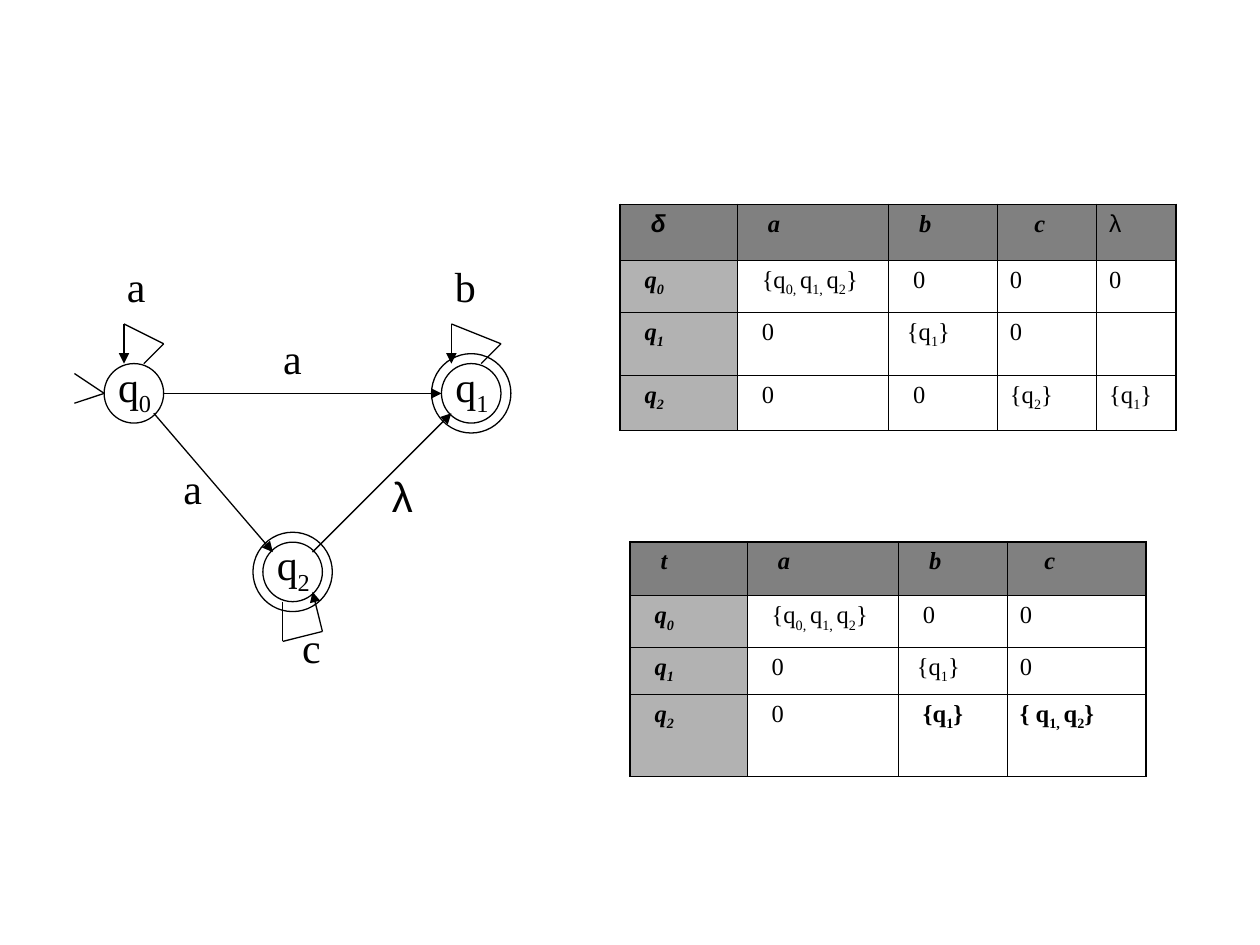
"""Build a slide with a lambda automaton and its two transition tables."""
from lxml import etree
from pptx import Presentation
from pptx.dml.color import RGBColor
from pptx.enum.shapes import MSO_CONNECTOR, MSO_SHAPE
from pptx.enum.text import MSO_AUTO_SIZE
from pptx.oxml.ns import qn
from pptx.util import Cm, Pt

STRAIGHT = MSO_CONNECTOR.STRAIGHT
OVAL = MSO_SHAPE.OVAL
GROW = MSO_AUTO_SIZE.SHAPE_TO_FIT_TEXT
BLACK, DARK_GREY, LIGHT_GREY = "000000", "808080", "B2B2B2"
SERIF, SANS = "Times New Roman", "Arial"
GREEK = "δλ"
INNER_RADIUS, OUTER_RADIUS = 0.6, 0.8
THIN, THICK = Pt(0.45), Pt(1.08)
CELL_MARGIN, SPACE_WIDTH = 0.25, 0.123

STATES = {"q|0": (2.7, 7.93), "q|1": (9.5, 7.93), "q|2": (5.9, 11.53)}
FINAL_STATES = ("q|2", "q|1")
TRANSITIONS = [
    ("q|0", (0.6, 0), "q|1", (-0.6, 0)),
    ("q|0", (0.4, 0.4), "q|2", (-0.4, -0.4)),
    ("q|2", (0.4, -0.4), "q|1", (-0.4, 0.4)),
]
LOOPS = {
    "q|0": [(0.2, -0.6), (0.6, -1), (-0.2, -1.4), (-0.2, -0.6)],
    "q|1": [(0.2, -0.6), (0.6, -1), (-0.4, -1.4), (-0.4, -0.6)],
    "q|2": [(-0.2, 0.6), (-0.2, 1.4), (0.6, 1.2), (0.4, 0.4)],
}
START_MARK = [(-1.2, 0.2), (-1.2, -0.4)]
LABELS = [
    ("a", 2.31, 5.13), ("b", 8.92, 5.13), ("a", 5.46, 6.58),
    ("a", 3.45, 9.19), ("λ", 7.65, 9.37), ("c", 5.84, 12.4),
]

ALL_STATES = "{q|0, |q|1, |q|2|}"
DELTA_ROWS = [
    ["δ", "a", "b", "c", "λ"],
    ["q|0", ALL_STATES, "0", "0", "0"],
    ["q|1", "0", "{q|1|}", "0", ""],
    ["q|2", "0", "0", "{q|2|}", "{q|1|}"],
]
T_ROWS = [
    ["t", "a", "b", "c"],
    ["q|0", ALL_STATES, "0", "0"],
    ["q|1", "0", "{q|1|}", "0"],
    ["q|2", "0", "{q|1|}", "{ q|1, |q|2|}"],
]
INDENTS = [(3, 3, 3, 4, 0), (2, 2, 2, 0, 0), (2, 2, 1, 0, 0), (2, 2, 2, 0, 0)]


def color(value):
    """Return the colour for a hex string."""
    return RGBColor.from_string(value)


def offset(point, shift):
    """Return a point moved by a shift."""
    return point[0] + shift[0], point[1] + shift[1]


def add_runs(paragraph, text, size, bold=False, italic=False):
    """Add runs in which every second part between bars is a subscript."""
    if not text:
        paragraph.font.size = Pt(size)
        return
    for index, part in enumerate(text.split("|")):
        run = paragraph.add_run()
        run.text = part
        font = run.font
        font.size, font.bold, font.italic = Pt(size), bold, italic
        font.name = SANS if part in GREEK else SERIF
        font.color.rgb = color(BLACK)
        if index % 2:
            run._r.get_or_add_rPr().set("baseline", "-25000")


def add_label(slide, text, left, top, width=0.89, height=1.27):
    """Add an unwrapped text label."""
    box = slide.shapes.add_textbox(Cm(left), Cm(top), Cm(width), Cm(height))
    box.text_frame.word_wrap = False
    box.text_frame.auto_size = GROW
    add_runs(box.text_frame.paragraphs[0], text, 24)


def add_circle(slide, center, radius):
    """Add an unfilled circle around a centre."""
    left, top = offset(center, (-radius, -radius))
    shape = slide.shapes.add_shape(OVAL, Cm(left), Cm(top), Cm(2 * radius), Cm(2 * radius))
    shape.shadow.inherit = False
    shape.fill.background()
    shape.line.color.rgb = color(BLACK)
    shape.line.width = Pt(0.75)


def add_line(slide, start, end, arrow=False):
    """Add a straight line, with an arrowhead at its end if wanted."""
    points = [Cm(value) for value in (*start, *end)]
    line = slide.shapes.add_connector(STRAIGHT, *points)
    line.line.color.rgb = color(BLACK)
    line.line.width = Pt(0.75)
    if arrow:
        etree.SubElement(line.line._get_or_add_ln(), qn("a:tailEnd"), type="triangle")
    etree.SubElement(line._element.spPr, qn("a:effectLst"))


def add_loop(slide, center, shifts):
    """Add a three-line loop that ends in an arrowhead."""
    points = [offset(center, shift) for shift in shifts]
    for index, (start, end) in enumerate(zip(points, points[1:])):
        add_line(slide, start, end, arrow=index == 2)


def set_borders(cell, widths):
    """Give a cell its left, right, top and bottom borders."""
    properties = cell._tc.get_or_add_tcPr()
    for index, (side, width) in enumerate(zip("LRTB", widths)):
        border = etree.Element(qn(f"a:ln{side}"), w=str(int(width)))
        fill = etree.SubElement(border, qn("a:solidFill"))
        etree.SubElement(fill, qn("a:srgbClr"), val=BLACK)
        properties.insert(index, border)


def fill_cell(cell, is_header, is_state):
    """Shade header and state cells and leave the others clear."""
    if is_header or is_state:
        cell.fill.solid()
        cell.fill.fore_color.rgb = color(DARK_GREY if is_header else LIGHT_GREY)
    else:
        cell.fill.background()


def add_transition_table(slide, left, top, widths, heights, rows, bold_cells=()):
    """Add a transition table with a heavy frame."""
    frame = slide.shapes.add_table(
        len(rows), len(widths), Cm(left), Cm(top), Cm(sum(widths)), Cm(sum(heights)))
    table = frame.table
    table.first_row = table.horz_banding = False
    for column, width in zip(table.columns, widths):
        column.width = Cm(width)
    for row, height in zip(table.rows, heights):
        row.height = Cm(height)
    last_row, last_column = len(rows) - 1, len(widths) - 1
    for i, texts in enumerate(rows):
        for j, text in enumerate(texts):
            cell = table.cell(i, j)
            cell.margin_left = Cm(CELL_MARGIN + SPACE_WIDTH * INDENTS[i][j])
            paragraph = cell.text_frame.paragraphs[0]
            paragraph.space_before = Pt(3.5)
            heading = (i == 0 or j == 0) and text != "λ"
            add_runs(paragraph, text, 14, heading or (i, j) in bold_cells, heading)
            fill_cell(cell, i == 0, j == 0)
            edges = (j == 0, j == last_column, i == 0, i == last_row)
            set_borders(cell, [THICK if edge else THIN for edge in edges])


def add_automaton(slide):
    """Add the states, transitions, loops and labels."""
    for center in STATES.values():
        add_circle(slide, center, INNER_RADIUS)
    for source, start, target, end in TRANSITIONS:
        add_line(slide, offset(STATES[source], start), offset(STATES[target], end), arrow=True)
    for state, shifts in LOOPS.items():
        add_loop(slide, STATES[state], shifts)
    for shift in START_MARK:
        add_line(slide, offset(STATES["q|0"], (-INNER_RADIUS, 0)), offset(STATES["q|0"], shift))
    for label in LABELS:
        add_label(slide, *label)
    for state, center in STATES.items():
        add_label(slide, state, *offset(center, (-0.57, -0.79)), 1.17, 1.42)
    for state in FINAL_STATES:
        add_circle(slide, STATES[state], OUTER_RADIUS)


def main():
    """Build and save the presentation."""
    presentation = Presentation()
    presentation.slide_width, presentation.slide_height = Cm(25.4), Cm(19.05)
    slide = presentation.slides.add_slide(presentation.slide_layouts[6])
    add_transition_table(slide, 12.5, 4.12, [2.36, 3.05, 2.2, 2, 1.6],
                         [1.12, 1.06, 1.27, 1.11], DELTA_ROWS)
    add_transition_table(slide, 12.7, 10.92, [2.36, 3.05, 2.2, 2.79],
                         [1.09, 1.04, 0.95, 1.65], T_ROWS, {(3, 2), (3, 3)})
    add_automaton(slide)
    presentation.save("out.pptx")


if __name__ == "__main__":
    main()
